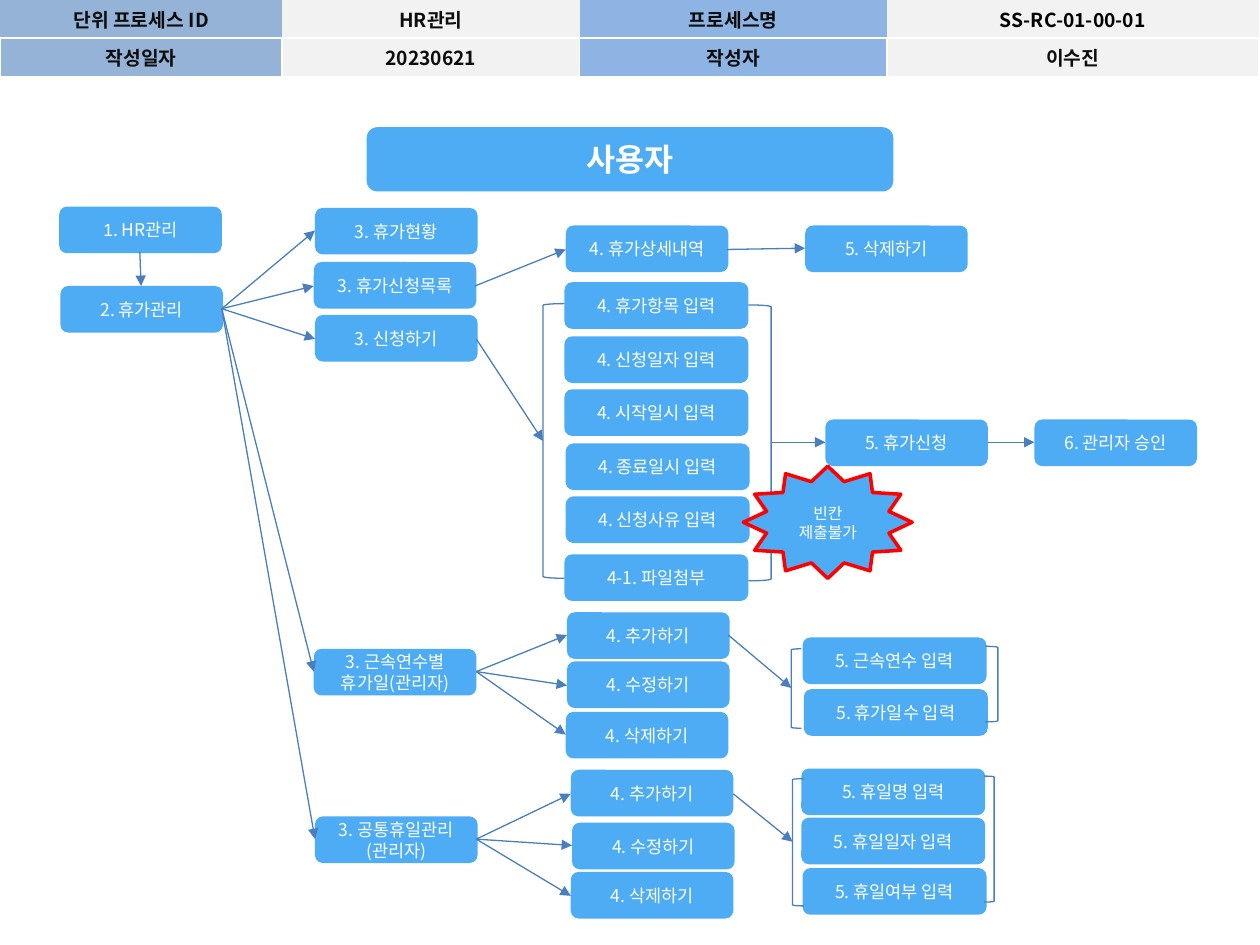
"""Build the leave management process flow slide."""
from lxml.etree import SubElement
from pptx import Presentation
from pptx.dml.color import RGBColor
from pptx.enum.shapes import MSO_CONNECTOR as Connector, MSO_SHAPE as Preset
from pptx.enum.text import MSO_ANCHOR as Anchor, PP_ALIGN as Align
from pptx.oxml.ns import qn
from pptx.util import Inches, Pt

WHITE = RGBColor(0xFF, 0xFF, 0xFF)
BLACK = RGBColor(0x00, 0x00, 0x00)
INK = RGBColor(0x0D, 0x0D, 0x0D)
SKY = RGBColor(0x4D, 0xAC, 0xF3)
STEEL = RGBColor(0x4B, 0x7E, 0xBC)
RED = RGBColor(0xFF, 0x00, 0x00)
LABEL_BLUE = RGBColor(0x95, 0xB3, 0xD7)
NAME_BLUE = RGBColor(0x8E, 0xB4, 0xE3)
PALE = RGBColor(0xF2, 0xF2, 0xF2)
KOREAN = "Noto Sans CJK KR"
LATIN = "Arial"


def write_text(frame, paragraphs, color, **formats):
    frame.word_wrap = True
    for index, runs in enumerate(paragraphs):
        paragraph = frame.add_paragraph() if index else frame.paragraphs[0]
        paragraph.alignment = Align.CENTER
        for text, name in runs:
            run = paragraph.add_run()
            run.text = text
            run.font.color.rgb = color
            for key, value in {"name": name, **formats}.items():
                setattr(run.font, key, value)
            SubElement(run.font._element, qn("a:ea")).set("typeface", name)


def add_shape(preset, left, top, width, height, fill=None, line=None, weight=0.75):
    shape = slide.shapes.add_shape(
        preset, Inches(left), Inches(top), Inches(width), Inches(height))
    shape.shadow.inherit = False
    if fill is None:
        shape.fill.background()
    else:
        shape.fill.solid()
        shape.fill.fore_color.rgb = fill
    if line is None:
        shape.line.fill.background()
    else:
        shape.line.color.rgb = line
        shape.line.width = Pt(weight)
    shape.text_frame.vertical_anchor = Anchor.MIDDLE
    return shape


presentation = Presentation()
presentation.slide_width = Inches(10)
presentation.slide_height = Inches(7.5)
slide = presentation.slides.add_slide(presentation.slide_layouts[6])

header = [
    ["단위 프로세스 ID", "HR관리", "프로세스명", "SS-RC-01-00-01"],
    ["작성일자", "20230621", "작성자", "이수진"],
]
header_fills = [LABEL_BLUE, PALE, NAME_BLUE, PALE]
row_borders = [["a:lnB"], ["a:lnL", "a:lnR", "a:lnT", "a:lnB"]]
table = slide.shapes.add_table(2, 4, 0, 0, Inches(10), Inches(0.61)).table
table.first_row = table.horz_banding = False
table._tbl.tblPr.find(qn("a:tableStyleId")).text = "{2D5ABB26-0587-4C30-8999-92F81FD0307C}"
for column, width in zip(table.columns, [2.24, 2.36, 2.44, 2.95]):
    column.width = Inches(width)
for row, height in zip(table.rows, [0.3, 0.31]):
    row.height = Inches(height)
for row, texts in enumerate(header):
    for column, text in enumerate(texts):
        cell = table.cell(row, column)
        cell.vertical_anchor = Anchor.MIDDLE
        cell.margin_top = cell.margin_bottom = Inches(0.03)
        color = BLACK if text.startswith("SS") else INK
        write_text(cell.text_frame, [[(text, KOREAN)]], color, size=Pt(11), bold=True)
        properties = cell._tc.get_or_add_tcPr()
        for side in row_borders[row]:
            border = SubElement(properties, qn(side), w=str(Pt(1)))
            solid = SubElement(border, qn("a:solidFill"))
            SubElement(solid, qn("a:srgbClr"), val=str(WHITE))
        cell.fill.solid()
        cell.fill.fore_color.rgb = header_fills[column]

title = add_shape(Preset.ROUNDED_RECTANGLE, 2.91, 1.01, 4.18, 0.51, SKY)
write_text(title.text_frame, [[("사용자", LATIN)]], WHITE, size=Pt(18), bold=True)

start = add_shape(Preset.ROUNDED_RECTANGLE, 0.47, 1.64, 1.29, 0.37, SKY)
write_text(start.text_frame, [[("1", LATIN), (". HR관리", KOREAN)]], WHITE, size=Pt(10))

steps = {
    1.29: [
        (0.48, 2.27, "2. 휴가관리"),
        (2.5, 1.65, "3. 휴가현황"),
        (2.49, 2.08, "3. 휴가신청목록"),
        (2.5, 2.5, "3. 신청하기"),
        (2.49, 5.15, "3. 근속연수별\n휴가일(관리자)"),
        (2.5, 6.48, "3. 공통휴일관리\n(관리자)"),
        (4.49, 1.79, "4. 휴가상세내역"),
        (4.5, 4.86, "4. 추가하기"),
        (4.5, 5.25, "4. 수정하기"),
        (4.49, 5.65, "4. 삭제하기"),
        (4.53, 6.11, "4. 추가하기"),
        (4.54, 6.53, "4. 수정하기"),
        (4.53, 6.92, "4. 삭제하기"),
        (6.39, 1.79, "5. 삭제하기"),
        (6.55, 3.33, "5. 휴가신청"),
        (8.21, 3.33, "6. 관리자 승인"),
    ],
    1.46: [
        (4.48, 2.24, "4. 휴가항목 입력"),
        (4.48, 2.67, "4. 신청일자 입력"),
        (4.48, 3.09, "4. 시작일시 입력"),
        (4.49, 3.52, "4. 종료일시 입력"),
        (4.49, 3.94, "4. 신청사유 입력"),
        (4.48, 4.4, "4-1. 파일첨부"),
        (6.37, 5.06, "5. 근속연수 입력"),
        (6.38, 5.47, "5. 휴가일수 입력"),
        (6.36, 6.1, "5. 휴일명 입력"),
        (6.36, 6.49, "5. 휴일일자 입력"),
        (6.37, 6.89, "5. 휴일여부 입력"),
    ],
}
for width, boxes in steps.items():
    for left, top, text in boxes:
        box = add_shape(Preset.ROUNDED_RECTANGLE, left, top, width, 0.37, SKY)
        lines = [[(line, KOREAN)] for line in text.split("\n")]
        write_text(box.text_frame, lines, WHITE, size=Pt(10))

arrows = {
    (1.11, 2): [(1.12, 2.27)],
    (1.76, 2.45): [(2.5, 1.83), (2.49, 2.27), (2.5, 2.69), (2.49, 5.33), (2.5, 6.66)],
    (3.77, 2.27): [(4.49, 1.98)],
    (3.78, 2.69): [(4.31, 3.5)],
    (3.78, 5.33): [(4.5, 5.04), (4.5, 5.44), (4.49, 5.83)],
    (3.78, 6.66): [(4.53, 6.3), (4.54, 6.71), (4.53, 7.11)],
    (5.77, 1.98): [(6.39, 1.97)],
    (5.78, 5.04): [(6.28, 5.46)],
    (5.82, 6.3): [(6.29, 6.68)],
    (6.12, 3.51): [(6.55, 3.51)],
    (7.84, 3.51): [(8.21, 3.51)],
}
for origin, targets in arrows.items():
    for target in targets:
        ends = [Inches(value) for value in origin + target]
        arrow = slide.shapes.add_connector(Connector.STRAIGHT, *ends)
        arrow.line.color.rgb = STEEL
        arrow.line.width = Pt(0.75)
        SubElement(arrow.line._get_or_add_ln(), qn("a:tailEnd"), type="triangle")
        SubElement(arrow._element.spPr, qn("a:effectLst"))

brackets = {
    Preset.LEFT_BRACKET: [
        (4.31, 2.41, 0.17, 2.18), (6.28, 5.15, 0.08, 0.63), (6.29, 6.18, 0.09, 1.01)],
    Preset.RIGHT_BRACKET: [
        (5.94, 2.42, 0.18, 2.19), (7.82, 5.13, 0.1, 0.6), (7.81, 6.16, 0.08, 1)],
}
for preset, places in brackets.items():
    for place in places:
        add_shape(preset, *place, line=STEEL)

warning = add_shape(Preset.STAR_12_POINT, 5.9, 3.7, 1.34, 0.89, SKY, RED, 2)
write_text(warning.text_frame, [[("빈칸", KOREAN)], [("제출불가", KOREAN)]], WHITE, size=Pt(9))

presentation.save("out.pptx")
